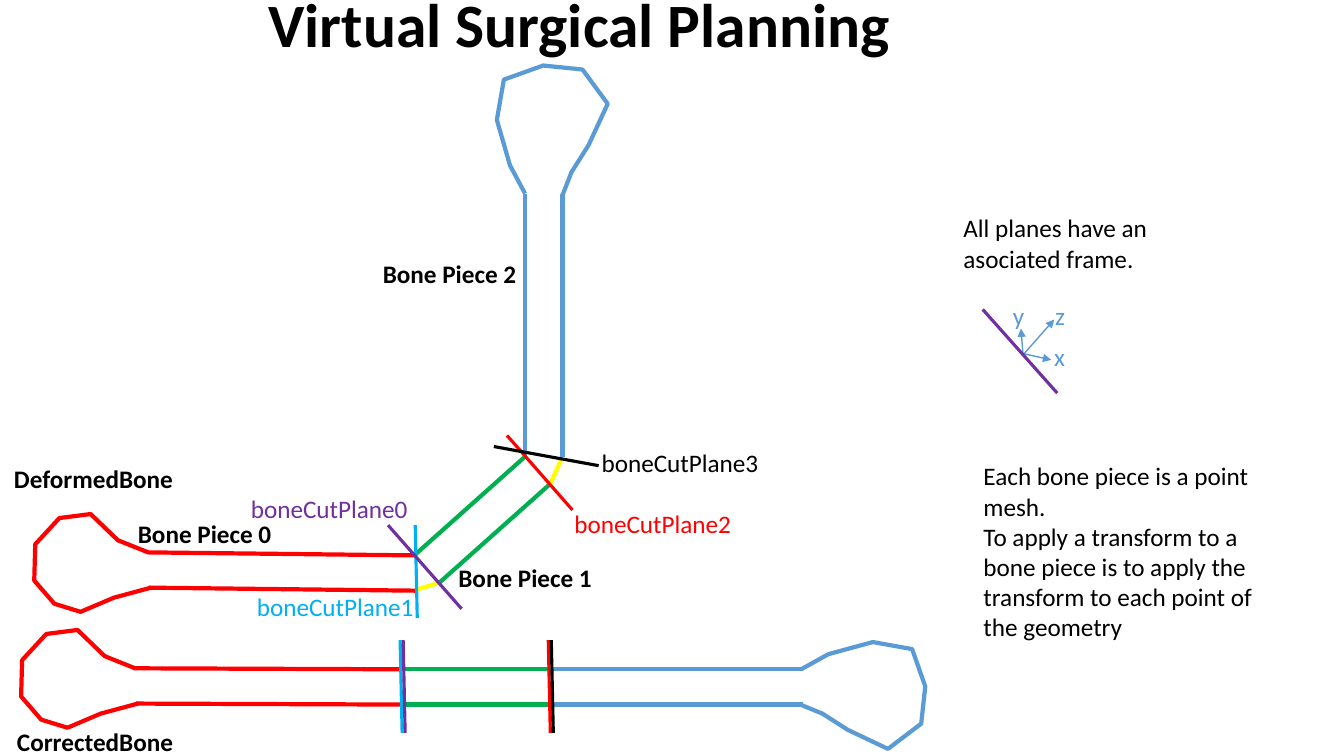
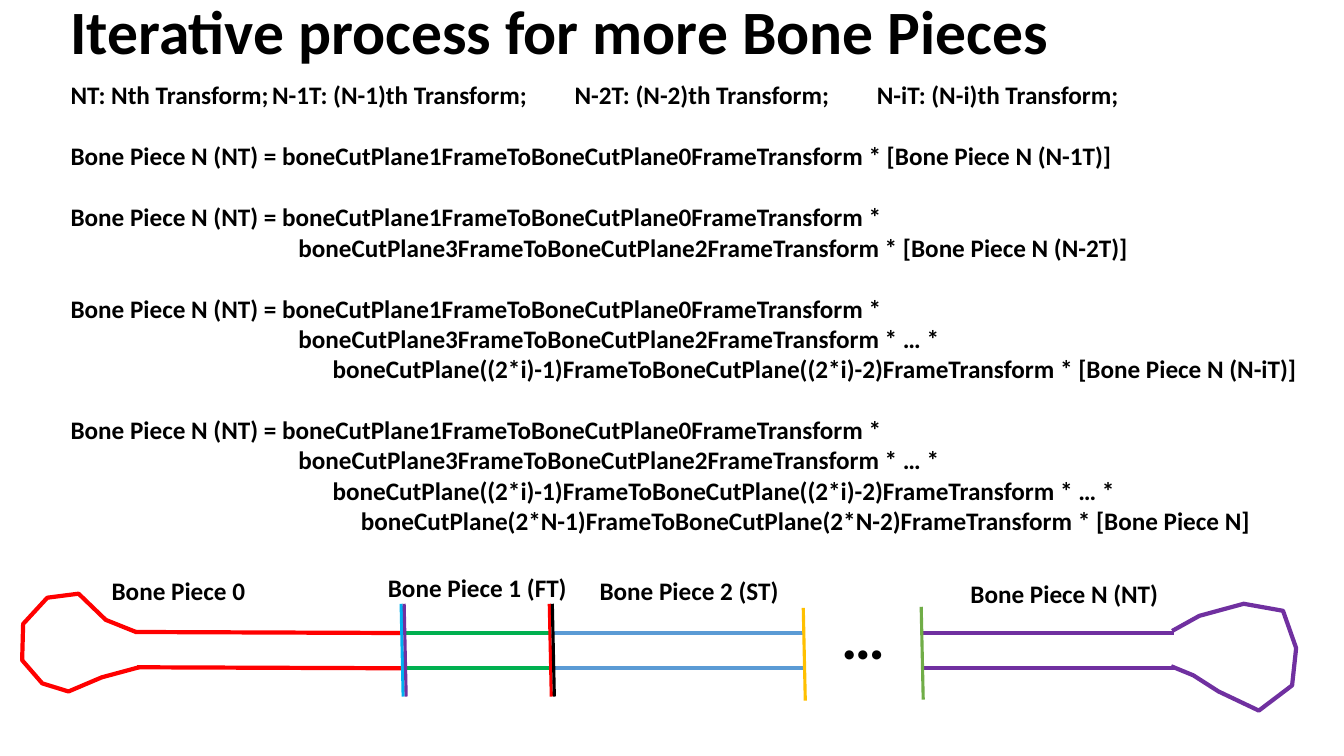
"""Build two slides that explain virtual surgical planning of bone pieces."""
from dataclasses import dataclass
from typing import Any

from lxml import etree
from pptx import Presentation
from pptx.dml.color import RGBColor
from pptx.enum.shapes import MSO_CONNECTOR
from pptx.enum.text import MSO_ANCHOR, MSO_AUTO_SIZE, PP_ALIGN
from pptx.oxml.ns import qn
from pptx.slide import Slide
from pptx.util import Cm, Pt

STRAIGHT = MSO_CONNECTOR.STRAIGHT
MIDDLE, TOP = MSO_ANCHOR.MIDDLE, MSO_ANCHOR.TOP
LEFT, CENTER = PP_ALIGN.LEFT, PP_ALIGN.CENTER
FIT_SHAPE, NO_FIT = MSO_AUTO_SIZE.SHAPE_TO_FIT_TEXT, MSO_AUTO_SIZE.NONE
TITLE_AND_CONTENT, TITLE_ONLY = 1, 5
Point = tuple[float, float]


@dataclass(frozen=True)
class Theme:
    """Colours, font, type sizes and line widths of the deck."""

    font: str = "Calibri"
    title_size: int = 44
    text_size: int = 18
    bone_width: float = 3
    plane_width: float = 2.25
    axis_width: float = 1
    black: str = "000000"
    red: str = "FF0000"
    green: str = "00B050"
    blue: str = "5B9BD5"
    yellow: str = "FFFF00"
    cyan: str = "00B0F0"
    purple: str = "7030A0"
    gold: str = "FFC000"
    leaf: str = "70AD47"


THEME = Theme()


@dataclass(frozen=True)
class Label:
    """A text box; it wraps only when it holds prose."""

    text: str
    left: float
    top: float
    width: float
    color: str = THEME.black
    bold: bool = False
    size: int = THEME.text_size
    height: float = 0.4
    wrap: bool = False


@dataclass(frozen=True)
class Stroke:
    """A straight line, with an arrowhead at its end on request."""

    start: Point
    end: Point
    color: str
    width: float = THEME.bone_width
    arrow: bool = False


@dataclass(frozen=True)
class Shaft:
    """The two parallel edges of a horizontal bone segment."""

    left: float
    right: float
    top: float
    color: str


@dataclass(frozen=True)
class FormulaLine:
    """One line of the formulas with its indent."""

    text: str
    indent: float = 0
    opens_block: bool = False


SHAFT_GAP = 0.35
LEFT_HEAD: list[Point] = [
    (0, 0), (-0.3, -0.12), (-0.57, -0.38), (-0.88, -0.34), (-1.12, -0.08),
    (-1.13, 0.28), (-0.93, 0.51), (-0.67, 0.59), (-0.34, 0.45), (0.03, 0.35),
]
RIGHT_HEAD: list[Point] = [
    (0, 0), (0.27, -0.15), (0.71, -0.27), (1.1, -0.2), (1.23, 0.17),
    (1.19, 0.54), (0.86, 0.79), (0.46, 0.6), (0.21, 0.44), (-0.01, 0.35),
]
UPPER_HEAD: list[Point] = [
    (0, 0), (-0.15, -0.28), (-0.28, -0.73), (-0.21, -1.13), (0.18, -1.27),
    (0.57, -1.23), (0.82, -0.89), (0.63, -0.48), (0.46, -0.21), (0.37, 0.02),
]
DEFORMED_STROKES = [
    Stroke((4.11, 5.51), (5.21, 4.53), THEME.green),
    Stroke((4.36, 5.78), (5.46, 4.8), THEME.green),
    Stroke((4.13, 5.85), (4.36, 5.78), THEME.yellow),
    Stroke((5.46, 4.8), (5.58, 4.53), THEME.yellow),
    Stroke((5.21, 4.53), (5.21, 1.92), THEME.blue),
    Stroke((5.58, 4.53), (5.58, 1.92), THEME.blue),
    Stroke((4.14, 6.13), (4.12, 5.21), THEME.cyan, THEME.plane_width),
    Stroke((4.58, 6.04), (3.85, 5.21), THEME.purple, THEME.plane_width),
    Stroke((5.03, 4.32), (5.68, 5.06), THEME.red, THEME.plane_width),
    Stroke((4.9, 4.43), (5.94, 4.62), THEME.black, THEME.plane_width),
]
FRAME_STROKES = [
    Stroke((10.16, 3.51), (10.46, 3.17), THEME.blue, THEME.axis_width, True),
    Stroke((10.16, 3.51), (10.43, 3.57), THEME.blue, THEME.axis_width, True),
    Stroke((10.15, 3.52), (10.13, 3.26), THEME.blue, THEME.axis_width, True),
    Stroke((10.49, 3.9), (9.75, 3.07), THEME.purple, THEME.plane_width),
]
PLANNING_LABELS = [
    Label("DeformedBone", 0.04, 4.55, 1.79, bold=True),
    Label("CorrectedBone", 0.07, 7.16, 1.76, bold=True),
    Label("Bone Piece 0", 1.27, 5.09, 1.54, bold=True),
    Label("Bone Piece 1", 4.45, 5.53, 1.54, bold=True),
    Label("Bone Piece 2", 3.7, 2.51, 1.54, bold=True),
    Label("boneCutPlane0", 2.39, 4.84, 1.78, THEME.purple),
    Label("boneCutPlane1", 2.45, 5.82, 1.78, THEME.cyan),
    Label("boneCutPlane2", 5.6, 4.99, 1.78, THEME.red),
    Label("boneCutPlane3", 5.87, 4.39, 1.78),
    Label("x", 10.36, 3.34, 0.31, THEME.blue),
    Label("z", 10.37, 2.93, 0.3, THEME.blue),
    Label("y", 9.95, 2.93, 0.32, THEME.blue),
    Label("All planes have an asociated frame.", 9.46, 2.06, 2.57, height=0.71, wrap=True),
    Label(
        "Each bone piece is a point mesh.\nTo apply a transform to a bone piece is "
        "to apply the transform to each point of the geometry",
        9.66, 4.52, 3.24, height=1.92, wrap=True,
    ),
]
ITERATION_LABELS = [
    Label("Bone Piece 0", 1.01, 5.66, 1.54, bold=True),
    Label("Bone Piece 1 (FT)", 3.75, 5.63, 1.99, bold=True),
    Label("Bone Piece 2 (ST)", 5.85, 5.66, 1.99, bold=True),
    Label("Bone Piece N (NT)", 9.53, 5.69, 2.08, bold=True),
    Label("…", 8.25, 5.88, 0.64, bold=True, size=THEME.title_size, height=0.84),
]
LEGEND_STOPS = (2.87, 6.29, 9.84)
SECOND, THIRD, FOURTH = 2.26, 2.6, 2.88
FIRST_FACTOR = "Bone Piece N (NT) = boneCutPlane1FrameToBoneCutPlane0FrameTransform *"
SECOND_FACTOR = "boneCutPlane3FrameToBoneCutPlane2FrameTransform *"
GENERAL_FACTOR = "boneCutPlane((2*i)-1)FrameToBoneCutPlane((2*i)-2)FrameTransform *"
LAST_FACTOR = "boneCutPlane(2*N-1)FrameToBoneCutPlane(2*N-2)FrameTransform *"
FORMULA_LINES = [
    FormulaLine("NT: Nth Transform;\tN-1T: (N-1)th Transform;\tN-2T: (N-2)th Transform;\tN-iT: (N-i)th Transform;"),
    FormulaLine(f"{FIRST_FACTOR} [Bone Piece N (N-1T)]", opens_block=True),
    FormulaLine(FIRST_FACTOR, opens_block=True),
    FormulaLine(f"{SECOND_FACTOR} [Bone Piece N (N-2T)]", SECOND),
    FormulaLine(FIRST_FACTOR, opens_block=True),
    FormulaLine(f"{SECOND_FACTOR} … *", SECOND),
    FormulaLine(f"{GENERAL_FACTOR} [Bone Piece N (N-iT)]", THIRD),
    FormulaLine(FIRST_FACTOR, opens_block=True),
    FormulaLine(f"{SECOND_FACTOR} … *", SECOND),
    FormulaLine(f"{GENERAL_FACTOR} … *", THIRD),
    FormulaLine(f"{LAST_FACTOR} [Bone Piece N]", FOURTH),
]


def inches(value: float) -> Cm:
    """Convert inches to a centimetre length."""
    return Cm(value * 2.54)


def apply_format(target: Any, **values: Any) -> None:
    """Set every given attribute on the target."""
    for name, value in values.items():
        setattr(target, name, value)


def place(shape: Any, left: float, top: float, width: float, height: float) -> None:
    """Move and size a shape."""
    apply_format(shape, left=inches(left), top=inches(top), width=inches(width), height=inches(height))


def format_font(font: Any, size: int, color: str, bold: bool) -> None:
    """Give a font the deck's face with a size, colour and weight."""
    apply_format(font, name=THEME.font, size=Pt(size), bold=bold)
    font.color.rgb = RGBColor.from_string(color)


def format_line(line: Any, color: str, width: float) -> None:
    """Set the colour and width of an outline."""
    line.color.rgb = RGBColor.from_string(color)
    line.width = Pt(width)


def set_title(slide: Slide, text: str, left: float, top: float, alignment: Any) -> None:
    """Fill and format the title placeholder."""
    title = slide.shapes.title
    place(title, left, top, 11.5, 1.45)
    title.text_frame.text = text
    apply_format(title.text_frame, vertical_anchor=MIDDLE, auto_size=NO_FIT, word_wrap=True)
    paragraph = title.text_frame.paragraphs[0]
    apply_format(paragraph, alignment=alignment, line_spacing=0.9)
    format_font(paragraph.font, THEME.title_size, THEME.black, True)


def add_label(slide: Slide, label: Label) -> None:
    """Add a text box."""
    box = slide.shapes.add_textbox(0, 0, 0, 0)
    place(box, label.left, label.top, label.width, label.height)
    box.text_frame.text = label.text
    apply_format(box.text_frame, word_wrap=label.wrap, auto_size=FIT_SHAPE)
    for paragraph in box.text_frame.paragraphs:
        format_font(paragraph.font, label.size, label.color, label.bold)


def add_stroke(slide: Slide, stroke: Stroke) -> None:
    """Add a straight connector without a shadow."""
    ends = [inches(value) for value in (*stroke.start, *stroke.end)]
    connector = slide.shapes.add_connector(STRAIGHT, *ends)
    format_line(connector.line, stroke.color, stroke.width)
    properties = connector.element.spPr
    if stroke.arrow:
        etree.SubElement(properties.find(qn("a:ln")), qn("a:tailEnd"), type="triangle")
    etree.SubElement(properties, qn("a:effectLst"))


def add_head(slide: Slide, outline: list[Point], x: float, y: float, color: str) -> None:
    """Add the open outline of a bone head that starts at a point."""
    points = [(inches(x + dx), inches(y + dy)) for dx, dy in outline]
    builder = slide.shapes.build_freeform(*points[0])
    builder.add_line_segments(points[1:], close=False)
    head = builder.convert_to_shape()
    head.fill.background()
    head.shadow.inherit = False
    format_line(head.line, color, THEME.bone_width)


def add_left_piece(slide: Slide, x: float, y: float, sag: float) -> None:
    """Add the red bone piece, with its shaft sinking by the sag."""
    for dx, dy in ((-0.01, 0), (0.01, SHAFT_GAP)):
        add_stroke(slide, Stroke((x + dx, y + dy), (x + dx + 2.65, y + dy + sag), THEME.red))
    add_head(slide, LEFT_HEAD, x, y, THEME.red)


def add_shaft(slide: Slide, shaft: Shaft) -> None:
    """Add both edges of a shaft."""
    for y in (shaft.top, shaft.top + SHAFT_GAP):
        add_stroke(slide, Stroke((shaft.left, y), (shaft.right, y), shaft.color))


def add_cut(slide: Slide, x: float, top: float, color: str) -> None:
    """Add a nearly upright cut plane."""
    add_stroke(slide, Stroke((x + 0.02, top + 0.92), (x, top), color, THEME.plane_width))


def add_straight_bone(slide: Slide, x: float, y: float) -> None:
    """Add the straightened bone's three shafts and four cut planes."""
    add_left_piece(slide, x, y, 0.01)
    add_shaft(slide, Shaft(x + 2.65, x + 4.12, y + 0.01, THEME.green))
    add_shaft(slide, Shaft(x + 4.13, x + 6.63, y + 0.01, THEME.blue))
    cuts = ((2.63, THEME.cyan), (2.66, THEME.purple), (4.1, THEME.red), (4.13, THEME.black))
    for offset, color in cuts:
        add_cut(slide, x + offset, y - 0.28, color)


def fill_formulas(slide: Slide) -> None:
    """Write the formulas into the body placeholder."""
    body = slide.placeholders[1]
    place(body, 0.6, 0.74, 12.7, 4.9)
    frame = body.text_frame
    frame.text = "\n".join(line.text for line in FORMULA_LINES)
    apply_format(frame, vertical_anchor=TOP, auto_size=NO_FIT, word_wrap=True)
    for paragraph, line in zip(frame.paragraphs, FORMULA_LINES):
        before = Pt(22 if line.opens_block else 0)
        apply_format(paragraph, alignment=LEFT, line_spacing=1.0, space_before=before, space_after=Pt(0))
        format_font(paragraph.font, THEME.text_size, THEME.black, True)
        properties = paragraph._p.get_or_add_pPr()
        properties.set("marL", str(inches(line.indent)))
        properties.set("indent", "0")
        bullet = etree.Element(qn("a:buNone"))
        stops = etree.Element(qn("a:tabLst"))
        for position in LEGEND_STOPS:
            etree.SubElement(stops, qn("a:tab"), pos=str(inches(position)), algn="l")
        run_defaults = properties.find(qn("a:defRPr"))
        run_defaults.addprevious(bullet)
        run_defaults.addprevious(stops)


def build_planning(slide: Slide) -> None:
    """Draw the deformed and the corrected bone."""
    set_title(slide, "Virtual Surgical Planning", 0, -0.45, CENTER)
    add_left_piece(slide, 1.47, 5.48, 0.03)
    add_head(slide, UPPER_HEAD, 5.21, 1.92, THEME.blue)
    add_straight_bone(slide, 1.34, 6.63)
    add_head(slide, RIGHT_HEAD, 7.95, 6.64, THEME.blue)
    for stroke in DEFORMED_STROKES + FRAME_STROKES:
        add_stroke(slide, stroke)
    for label in PLANNING_LABELS:
        add_label(slide, label)


def build_iteration(slide: Slide) -> None:
    """Write the formulas above a bone of N pieces."""
    set_title(slide, "Iterative process for more Bone Pieces", 0.6, -0.38, LEFT)
    fill_formulas(slide)
    add_straight_bone(slide, 1.35, 6.27)
    add_shaft(slide, Shaft(9.15, 11.65, 6.28, THEME.purple))
    add_head(slide, RIGHT_HEAD, 11.63, 6.26, THEME.purple)
    add_cut(slide, 7.97, 6.03, THEME.gold)
    add_cut(slide, 9.14, 6.02, THEME.leaf)
    for label in ITERATION_LABELS:
        add_label(slide, label)


def main() -> None:
    """Build and save the deck."""
    presentation = Presentation()
    apply_format(presentation, slide_width=Cm(33.87), slide_height=Cm(19.05))
    for layout, build in ((TITLE_ONLY, build_planning), (TITLE_AND_CONTENT, build_iteration)):
        build(presentation.slides.add_slide(presentation.slide_layouts[layout]))
    presentation.save("out.pptx")


if __name__ == "__main__":
    main()
